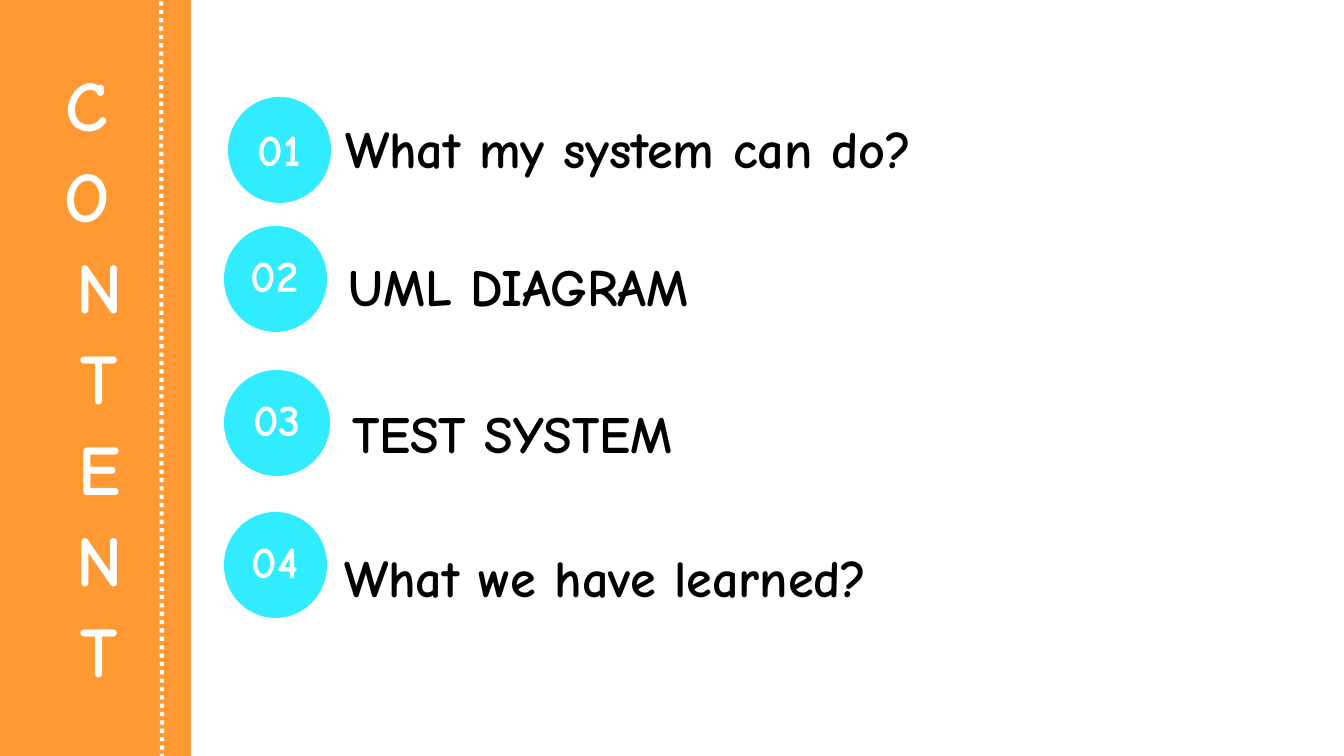
import pptx
import pptx.util
import pptx.dml.color
import pptx.enum.dml
import pptx.enum.shapes
import pptx.enum.text
import pptx.oxml.ns
import lxml.etree

FONT = "Comic Neue"
ORANGE, CYAN, WHITE, BLACK = "FF9933", "31EBFF", "FFFFFF", "000000"
ALIGN = pptx.enum.text.PP_ALIGN
ANCHOR = pptx.enum.text.MSO_ANCHOR
SHAPE = pptx.enum.shapes.MSO_SHAPE

TITLE = ["C ", "O ", "N", "T", "E", "N", "T"]
# number, label, then boxes (left, top, width, height) of disc, number, label
ITEMS = [
    ("01", "What my system can do?",
     (228, 97, 103, 106), (234, 124, 91, 50), (332, 110, 696, 80)),
    ("02", "UML DIAGRAM",
     (224, 226, 103, 106), (228, 250, 94, 50), (335, 248, 653, 80)),
    ("03", "TEST SYSTEM",
     (224, 370, 106, 106), (228, 394, 98, 50), (339, 395, 892, 80)),
    ("04", "What we have learned?",
     (224, 512, 103, 106), (228, 536, 94, 50), (331, 539, 892, 80)),
]


def px(n):
    return pptx.util.Emu(round(n * 914400 / 134.4))


def rgb(code):
    return pptx.dml.color.RGBColor.from_string(code)


def solid(shapes, kind, box, color):
    shape = shapes.add_shape(kind, *map(px, box))
    shape.shadow.inherit = False
    shape.fill.solid()
    shape.fill.fore_color.rgb = rgb(color)
    shape.line.fill.background()


def write(shape, lines, size, color, align, anchor, before=0):
    frame = shape.text_frame
    frame.word_wrap = True
    frame.auto_size = pptx.enum.text.MSO_AUTO_SIZE.NONE
    frame.vertical_anchor = anchor
    for i, line in enumerate(lines):
        para = frame.add_paragraph() if i else frame.paragraphs[0]
        para.alignment = align
        para.space_before = pptx.util.Pt(before)
        run = para.add_run()
        run.text = line
        run.font.name = FONT
        run.font.size = pptx.util.Pt(size)
        run.font.bold = True
        run.font.color.rgb = rgb(color)


def dots(slide, ends):
    line = slide.shapes.add_connector(
        pptx.enum.shapes.MSO_CONNECTOR.STRAIGHT, *map(px, ends))
    line.line.color.rgb = rgb(WHITE)
    line.line.width = pptx.util.Pt(2.25)
    line.line.dash_style = pptx.enum.dml.MSO_LINE.ROUND_DOT
    props = line._element.spPr
    lxml.etree.SubElement(props, pptx.oxml.ns.qn("a:effectLst"))


def main():
    deck = pptx.Presentation()
    deck.slide_width, deck.slide_height = px(1344), px(756)
    slide = deck.slides.add_slide(deck.slide_layouts[5])

    solid(slide.shapes, SHAPE.RECTANGLE, (-3, 0, 194, 756), ORANGE)
    title = slide.shapes.title
    title.left, title.top, title.width, title.height = map(
        px, (11, 34, 177, 684))
    write(title, TITLE, 38, WHITE, ALIGN.CENTER, ANCHOR.MIDDLE, 3.2)
    # bring the title in front of the band
    slide.shapes._spTree.append(title._element)
    dots(slide, (162, 758, 161, 0))

    for number, label, disc, inner, side in ITEMS:
        group = slide.shapes.add_group_shape().shapes
        solid(group, SHAPE.OVAL, disc, CYAN)
        write(group.add_textbox(*map(px, inner)), [number],
              24, WHITE, ALIGN.CENTER, ANCHOR.MIDDLE, 3.2)
        write(group.add_textbox(*map(px, side)), [label],
              28, BLACK, ALIGN.LEFT, ANCHOR.TOP)

    deck.save("out.pptx")


if __name__ == "__main__":
    main()
